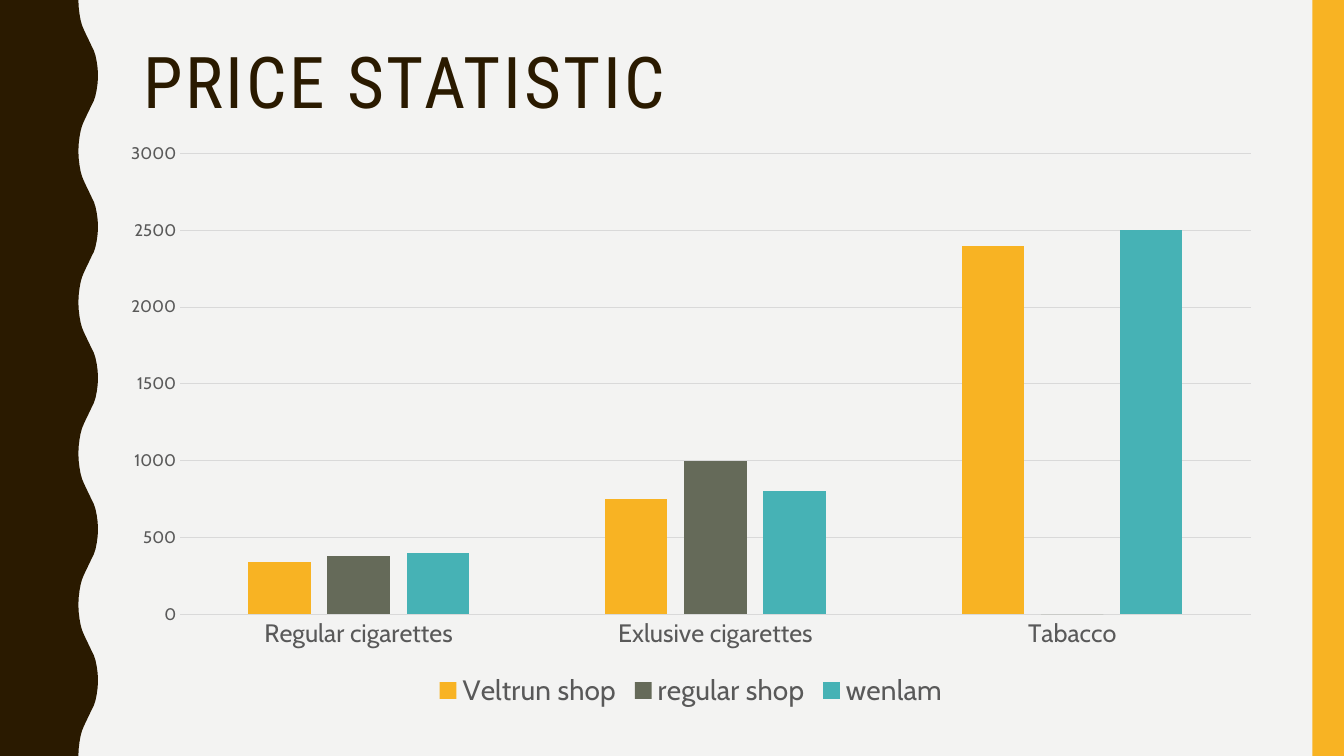
from dataclasses import dataclass

from pptx import Presentation
from pptx import util as u
from pptx.chart.data import CategoryChartData
from pptx.dml.color import RGBColor
from pptx.enum import chart as ch
from pptx.enum import shapes, text

PAPER = RGBColor(0xF3, 0xF3, 0xF2)
BROWN = RGBColor(0x2A, 0x1A, 0x00)
AMBER = RGBColor(0xF8, 0xB3, 0x23)
OLIVE = RGBColor(0x65, 0x6A, 0x59)
TEAL = RGBColor(0x46, 0xB2, 0xB5)
LABEL_GREY = RGBColor(0x59, 0x59, 0x59)
GRID_GREY = RGBColor(0xD9, 0xD9, 0xD9)
BLACK = RGBColor(0, 0, 0)

TITLE_FONT = "Roboto Condensed"
BODY_FONT = "Cabin"

WIDTH, HEIGHT = 960, 540
WAVE_PERIOD = 108
# Edge of the wave from trough to crest, in points
HALF_WAVE = [
    (56, 0), (56.2, 5), (56.8, 10), (57.6, 14.4), (58.6, 18), (59.8, 21),
    (61.2, 24), (64.1, 30), (65.5, 33), (67, 36), (68.2, 39.6),
    (69.1, 44), (69.8, 49), (70, 54),
]


@dataclass(frozen=True)
class Shop:
    name: str
    prices: tuple[float, ...]
    color: RGBColor


PRODUCTS = ("Regular cigarettes", "Exlusive cigarettes", "Tabacco")
SHOPS = (
    Shop("Veltrun shop", (340, 750, 2400), AMBER),
    Shop("regular shop", (380, 1000, 0), OLIVE),
    Shop("wenlam", (400, 800, 2500), TEAL),
)


def apply_format(target, values: dict) -> None:
    for name, value in values.items():
        setattr(target, name, value)


def style_font(font, name: str, size: float, color: RGBColor) -> None:
    apply_format(font, {"name": name, "size": u.Pt(size)})
    font.color.rgb = color


def paint(shape, color: RGBColor) -> None:
    """Give a shape a plain fill without outline or shadow."""
    shape.shadow.inherit = False
    shape.fill.solid()
    shape.fill.fore_color.rgb = color
    shape.line.fill.background()


def style_line(line, color: RGBColor) -> None:
    line.width = u.Pt(0.75)
    line.color.rgb = color


def add_wavy_edge(slide) -> None:
    crest_to_trough = [(x, WAVE_PERIOD - y) for x, y in HALF_WAVE[-2::-1]]
    wave = HALF_WAVE + crest_to_trough
    edge = [(x, y + start) for start in range(0, HEIGHT, WAVE_PERIOD) for x, y in wave]
    outline = slide.shapes.build_freeform(0, 0)
    corners = [(u.Pt(x), u.Pt(y)) for x, y in edge + [(0, HEIGHT)]]
    outline.add_line_segments(corners, close=True)
    paint(outline.convert_to_shape(), BROWN)


def add_right_band(slide) -> None:
    band = slide.shapes.add_shape(
        shapes.MSO_SHAPE.RECTANGLE, u.Pt(937.5), 0, u.Pt(22.5), u.Pt(HEIGHT))
    paint(band, AMBER)


def add_title(slide) -> None:
    title = slide.shapes.add_textbox(u.Pt(98.6), u.Pt(30.2), u.Pt(801.4), u.Pt(117.4))
    inset = u.Pt(3.6)
    apply_format(title.text_frame, {
        "word_wrap": True, "vertical_anchor": text.MSO_ANCHOR.TOP,
        "margin_left": inset, "margin_right": inset,
        "margin_top": inset, "margin_bottom": inset,
    })
    heading = title.text_frame.paragraphs[0]
    heading.line_spacing = 0.9
    run = heading.add_run()
    run.text = "PRICE STATISTIC"
    style_font(run.font, TITLE_FONT, 51, BROWN)
    run.font._element.set("spc", "200")  # letter spacing of 2 pt


def add_price_chart(slide) -> None:
    prices = CategoryChartData()
    prices.categories = PRODUCTS
    for shop in SHOPS:
        prices.add_series(shop.name, shop.prices)
    chart = slide.shapes.add_chart(
        ch.XL_CHART_TYPE.COLUMN_CLUSTERED,
        u.Pt(77), u.Pt(94.3), u.Pt(833), u.Pt(415.4), prices).chart
    apply_format(chart, {"has_title": False, "has_legend": True})
    style_font(chart.font, BODY_FONT, 10, BLACK)

    columns = chart.plots[0]
    apply_format(columns, {"gap_width": 219, "overlap": -27, "vary_by_categories": False})
    for series, shop in zip(columns.series, SHOPS):
        series.format.fill.solid()
        series.format.fill.fore_color.rgb = shop.color

    for axis, size in ((chart.category_axis, 18), (chart.value_axis, 12)):
        apply_format(axis, {"major_tick_mark": ch.XL_TICK_MARK.NONE,
                            "minor_tick_mark": ch.XL_TICK_MARK.NONE})
        style_font(axis.tick_labels.font, BODY_FONT, size, LABEL_GREY)
    style_line(chart.category_axis.format.line, GRID_GREY)

    price_axis = chart.value_axis
    apply_format(price_axis, {"minimum_scale": 0, "maximum_scale": 3000, "major_unit": 500})
    price_axis.format.line.fill.background()
    style_line(price_axis.major_gridlines.format.line, GRID_GREY)

    apply_format(chart.legend, {"position": ch.XL_LEGEND_POSITION.BOTTOM,
                                "include_in_layout": False})
    style_font(chart.legend.font, BODY_FONT, 20, LABEL_GREY)


def main() -> None:
    deck = Presentation()
    apply_format(deck, {"slide_width": u.Pt(WIDTH), "slide_height": u.Pt(HEIGHT)})
    slide = deck.slides.add_slide(deck.slide_layouts[6])
    slide.background.fill.solid()
    slide.background.fill.fore_color.rgb = PAPER
    add_wavy_edge(slide)
    add_right_band(slide)
    add_title(slide)
    add_price_chart(slide)
    deck.save("out.pptx")


if __name__ == "__main__":
    main()
